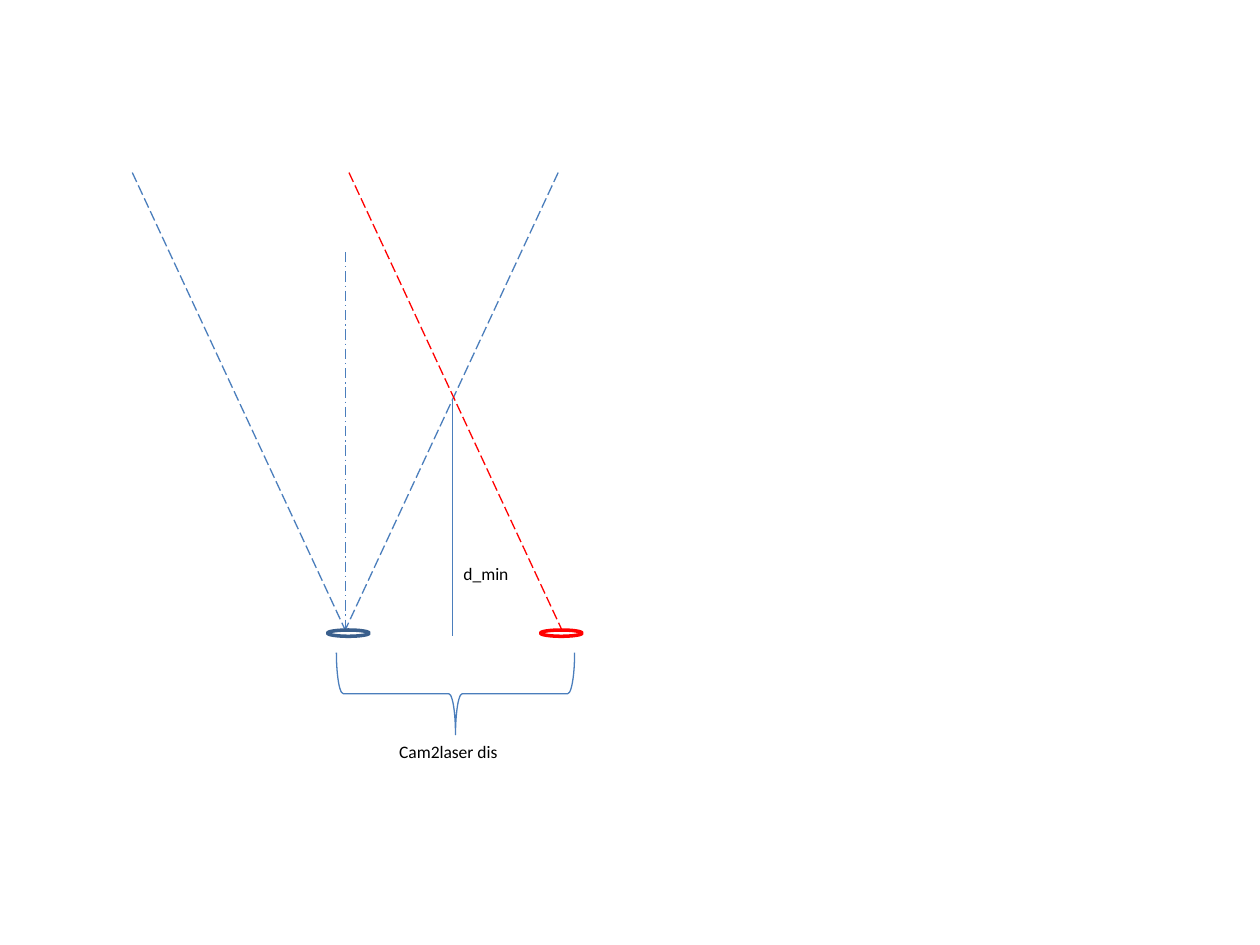
"""Draw the camera and laser geometry with its minimum distance."""
from dataclasses import dataclass
from typing import Optional

from lxml.etree import SubElement
from pptx import Presentation
from pptx.dml.color import RGBColor
from pptx.enum.dml import MSO_LINE
from pptx.enum.shapes import MSO_CONNECTOR, MSO_SHAPE
from pptx.enum.text import MSO_AUTO_SIZE
from pptx.oxml.ns import qn
from pptx.util import Inches, Pt


@dataclass(frozen=True)
class Theme:
    blue: str = "4B7EBC"
    navy: str = "3A5F8C"
    red: str = "FF0000"
    black: str = "000000"
    font: str = "Calibri"
    size: float = 10
    thin: float = 0.75
    thick: float = 2


@dataclass(frozen=True)
class Ray:
    start: tuple[float, float]
    end: tuple[float, float]
    color: str
    dash: Optional[MSO_LINE] = None


@dataclass(frozen=True)
class Outline:
    kind: MSO_SHAPE
    box: tuple[float, float, float, float]
    color: str
    width: float
    rotation: float = 0


@dataclass(frozen=True)
class Label:
    text: str
    box: tuple[float, float, float, float]


THEME = Theme()
TOP, BASE = 1.37, 5
CAMERA_X, LASER_X, SPREAD = 2.74, 4.46, 1.69
CAMERA = (CAMERA_X, BASE)

RAYS = [
    Ray((CAMERA_X, 2), CAMERA, THEME.blue, MSO_LINE.LONG_DASH_DOT),
    Ray((CAMERA_X + SPREAD, TOP), CAMERA, THEME.blue, MSO_LINE.LONG_DASH),
    Ray((CAMERA_X - SPREAD, TOP), CAMERA, THEME.blue, MSO_LINE.LONG_DASH),
    Ray((LASER_X - SPREAD, TOP), (LASER_X, BASE), THEME.red, MSO_LINE.LONG_DASH),
    Ray((3.59, 3.17), (3.59, 5.05), THEME.blue),
]
OUTLINES = [
    Outline(MSO_SHAPE.OVAL, (2.6, BASE, 0.33, 0.05), THEME.navy, THEME.thick),
    Outline(MSO_SHAPE.OVAL, (4.29, BASE, 0.33, 0.05), THEME.red, THEME.thick),
    Outline(MSO_SHAPE.LEFT_BRACE, (3.29, 4.56, 0.65, 1.89), THEME.blue, THEME.thin, 270),
]
LABELS = [
    Label("d_min", (3.58, 4.42, 0.58, 0.27)),
    Label("Cam2laser dis", (3.07, 5.83, 1.1, 0.27)),
]


def set_line(line, color: str, width: float) -> None:
    line.color.rgb = RGBColor.from_string(color)
    line.width = Pt(width)


def add_ray(slide, ray: Ray) -> None:
    points = [Inches(v) for v in ray.start + ray.end]
    sp = slide.shapes.add_connector(MSO_CONNECTOR.STRAIGHT, *points)
    set_line(sp.line, ray.color, THEME.thin)
    if ray.dash is not None:
        sp.line.dash_style = ray.dash
    SubElement(sp._element.spPr, qn("a:effectLst"))


def add_outline(slide, outline: Outline) -> None:
    sp = slide.shapes.add_shape(outline.kind, *map(Inches, outline.box))
    sp.rotation = outline.rotation
    sp.shadow.inherit = False
    sp.fill.background()
    set_line(sp.line, outline.color, outline.width)


def add_label(slide, label: Label) -> None:
    tf = slide.shapes.add_textbox(*map(Inches, label.box)).text_frame
    frame_format = {"word_wrap": True, "auto_size": MSO_AUTO_SIZE.SHAPE_TO_FIT_TEXT}
    for name, value in frame_format.items():
        setattr(tf, name, value)
    r = tf.paragraphs[0].add_run()
    r.text = label.text
    for name, value in {"name": THEME.font, "size": Pt(THEME.size)}.items():
        setattr(r.font, name, value)
    r.font.color.rgb = RGBColor.from_string(THEME.black)


def main() -> None:
    prs = Presentation()
    prs.slide_width, prs.slide_height = Inches(10), Inches(7.5)
    s = prs.slides.add_slide(prs.slide_layouts[6])
    for ray in RAYS:
        add_ray(s, ray)
    for outline in OUTLINES:
        add_outline(s, outline)
    for label in LABELS:
        add_label(s, label)
    prs.save("out.pptx")


main()
